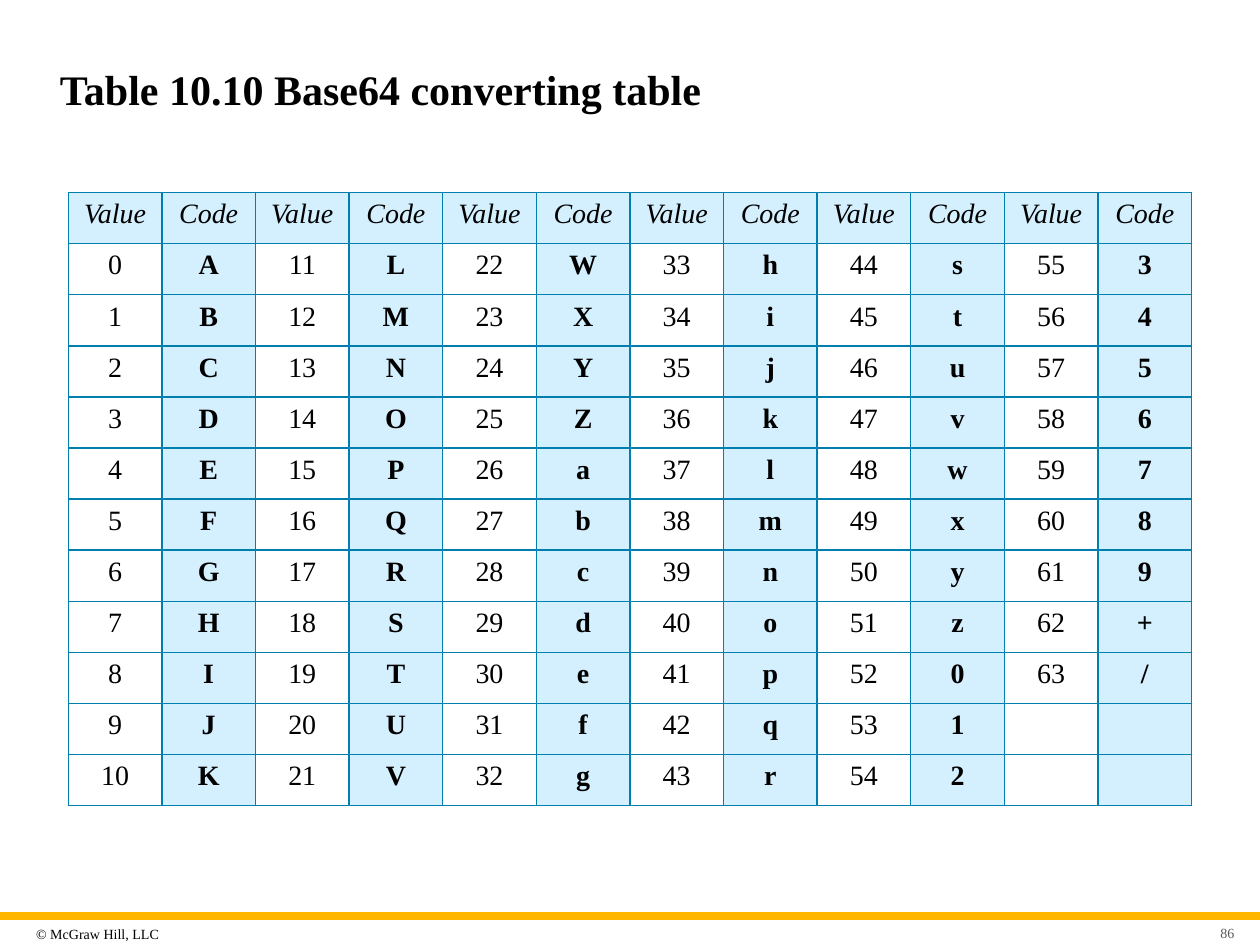
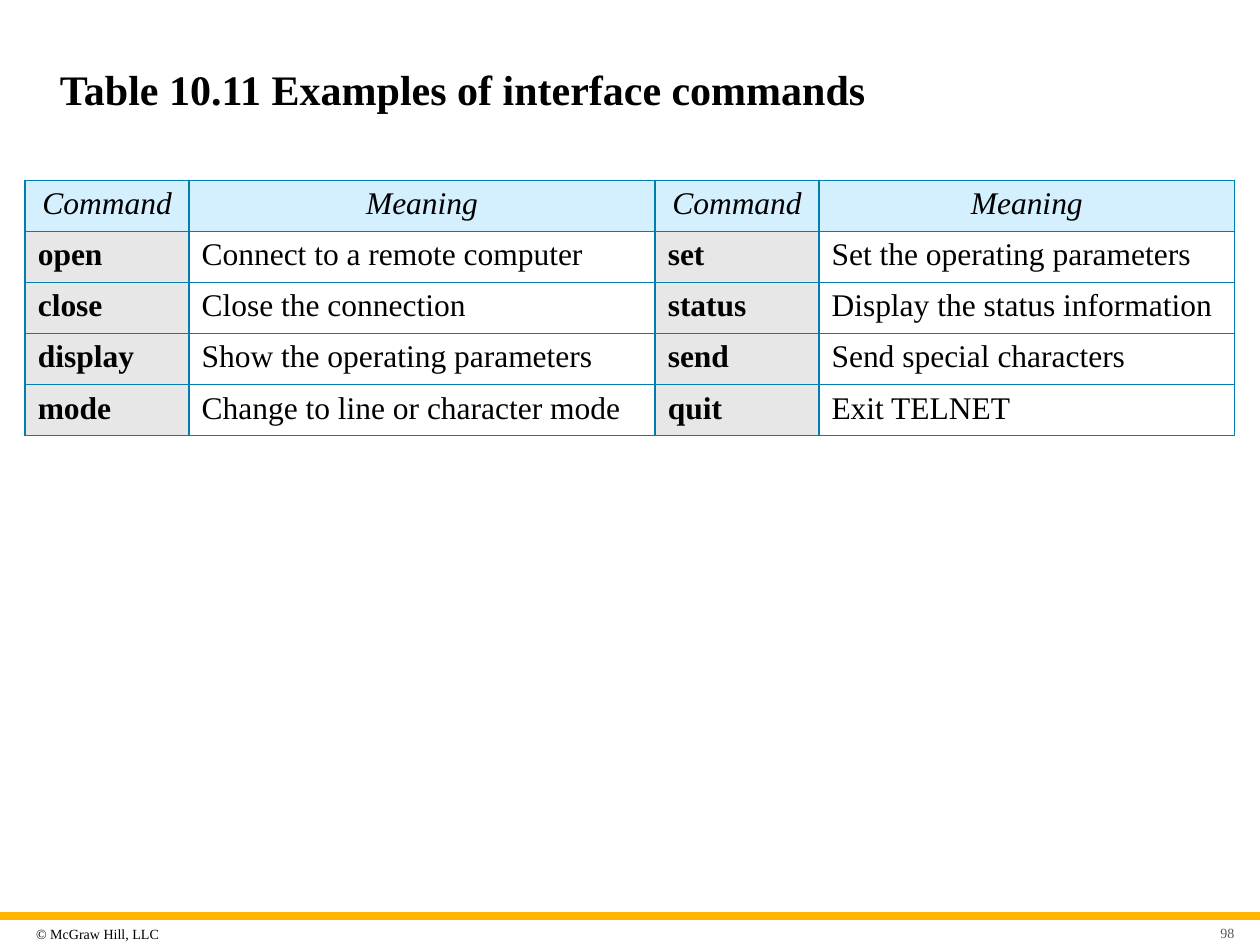
from dataclasses import dataclass
from typing import Callable

from lxml.etree import SubElement
from pptx import Presentation
from pptx.dml.color import RGBColor
from pptx.enum.shapes import MSO_SHAPE
from pptx.enum.text import MSO_ANCHOR, PP_ALIGN
from pptx.oxml.ns import qn
from pptx.util import Pt

FONT = "Times New Roman"
BLACK = RGBColor(0x00, 0x00, 0x00)
GREY = RGBColor(0x59, 0x59, 0x59)
GOLD = RGBColor(0xFF, 0xB6, 0x00)
BLUE = RGBColor(0x00, 0x7E, 0xAD)
SKY = RGBColor(0xD4, 0xEF, 0xFD)
ASH = RGBColor(0xE7, 0xE7, 0xE8)
ROW = 29.2


@dataclass
class Look:
    fill: RGBColor | None = None
    bold: bool = False
    italic: bool = False
    align: PP_ALIGN = PP_ALIGN.LEFT


@dataclass
class Grid:
    left: float
    top: float
    cols: list[float]
    rows: list[list[str]]
    size: float
    look: Callable[[int, int], Look]


@dataclass
class Page:
    title: str
    number: int
    grid: Grid


# Text and boxes
def write(frame, text: str, *, size: float, color: RGBColor = BLACK,
          bold: bool = False, italic: bool = False,
          align: PP_ALIGN = PP_ALIGN.LEFT) -> None:
    para = frame.paragraphs[0]
    para.alignment = align
    run = para.add_run()
    run.text = text
    font = run.font
    font.name, font.size = FONT, Pt(size)
    font.bold, font.italic = bold, italic
    font.color.rgb = color


def place(shape, left: float, top: float, width: float, height: float) -> None:
    shape.left, shape.top = Pt(left), Pt(top)
    shape.width, shape.height = Pt(width), Pt(height)


def label(slide, text: str, left: float, top: float, width: float,
          height: float, *, inset: float = 3.6, **style) -> None:
    box = slide.shapes.add_textbox(Pt(left), Pt(top), Pt(width), Pt(height))
    frame = box.text_frame
    frame.word_wrap = True
    frame.vertical_anchor = MSO_ANCHOR.MIDDLE
    frame.margin_left = Pt(inset)
    frame.margin_right = frame.margin_top = frame.margin_bottom = Pt(3.6)
    write(frame, text, **style)


# Tables
def border(cell) -> None:
    props = cell._tc.get_or_add_tcPr()
    for side in ("a:lnL", "a:lnR", "a:lnT", "a:lnB"):
        line = SubElement(props, qn(side), w=str(Pt(1)))
        fill = SubElement(line, qn("a:solidFill"))
        SubElement(fill, qn("a:srgbClr"), val=str(BLUE))


def draw(slide, grid: Grid) -> None:
    count = len(grid.rows)
    table = slide.shapes.add_table(
        count, len(grid.cols), Pt(grid.left), Pt(grid.top),
        Pt(sum(grid.cols)), Pt(ROW * count)).table
    table.first_row = table.horz_banding = False
    for col, width in zip(table.columns, grid.cols):
        col.width = Pt(width)
    for r, texts in enumerate(grid.rows):
        table.rows[r].height = Pt(ROW)
        for c, text in enumerate(texts):
            cell, look = table.cell(r, c), grid.look(r, c)
            border(cell)
            if look.fill is None:
                cell.fill.background()
            else:
                cell.fill.solid()
                cell.fill.fore_color.rgb = look.fill
            if text:
                write(cell.text_frame, text, size=grid.size, bold=look.bold,
                      italic=look.italic, align=look.align)


HEAD = Look(SKY, italic=True, align=PP_ALIGN.CENTER)


def code_look(row: int, col: int) -> Look:
    if row == 0:
        return HEAD
    code = col % 2 == 1
    return Look(SKY if code else None, bold=code, align=PP_ALIGN.CENTER)


def term_look(row: int, col: int) -> Look:
    if row == 0:
        return HEAD
    return Look(ASH, bold=True) if col % 2 == 0 else Look()


# Base64 codes run down eleven rows, then on to the next pair of columns
CODES = "ABCDEFGHIJKLMNOPQRSTUVWXYZabcdefghijklmnopqrstuvwxyz0123456789+/"
DEPTH, PAIRS = 11, 6


def code_rows() -> list[list[str]]:
    rows = [["Value", "Code"] * PAIRS]
    for start in range(DEPTH):
        row = []
        for value in range(start, DEPTH * PAIRS, DEPTH):
            row += [str(value), CODES[value]] if value < len(CODES) else ["", ""]
        rows.append(row)
    return rows


TERMS = [
    ["Command", "Meaning"] * 2,
    ["open", "Connect to a remote computer", "set", "Set the operating parameters"],
    ["close", "Close the connection", "status", "Display the status information"],
    ["display", "Show the operating parameters", "send", "Send special characters"],
    ["mode", "Change to line or character mode", "quit", "Exit TELNET"],
]

PAGES = [
    Page("Table 10.10 Base64 converting table", 86,
         Grid(39, 110, [53.5] * (2 * PAIRS), code_rows(), 16, code_look)),
    Page("Table 10.11 Examples of interface commands", 98,
         Grid(14.4, 103, [93.6, 266.4, 93.6, 237.6], TERMS, 18, term_look)),
]


# Slides
def build(deck, page: Page) -> None:
    slide = deck.slides.add_slide(deck.slide_layouts[5])

    # Gold band and copyright line
    band = slide.shapes.add_shape(
        MSO_SHAPE.RECTANGLE, Pt(0), Pt(521.2), Pt(720), Pt(4.5))
    band.shadow.inherit = False
    band.fill.solid()
    band.fill.fore_color.rgb = GOLD
    band.line.fill.background()
    label(slide, "© McGraw Hill, LLC", 17, 525, 97, 17, size=8)

    # Title
    title = slide.shapes.title
    place(title, 27, 24, 666, 53)
    title.text_frame.word_wrap = True
    title.text_frame.vertical_anchor = MSO_ANCHOR.MIDDLE
    write(title.text_frame, page.title, size=24, bold=True)

    # Table and slide number
    draw(slide, page.grid)
    label(slide, str(page.number), 681, 526.3, 28, 13, inset=7.2,
          size=8, color=GREY, align=PP_ALIGN.RIGHT)


def main() -> None:
    deck = Presentation()
    deck.slide_width, deck.slide_height = Pt(720), Pt(540)
    for page in PAGES:
        build(deck, page)
    deck.save("out.pptx")


if __name__ == "__main__":
    main()
